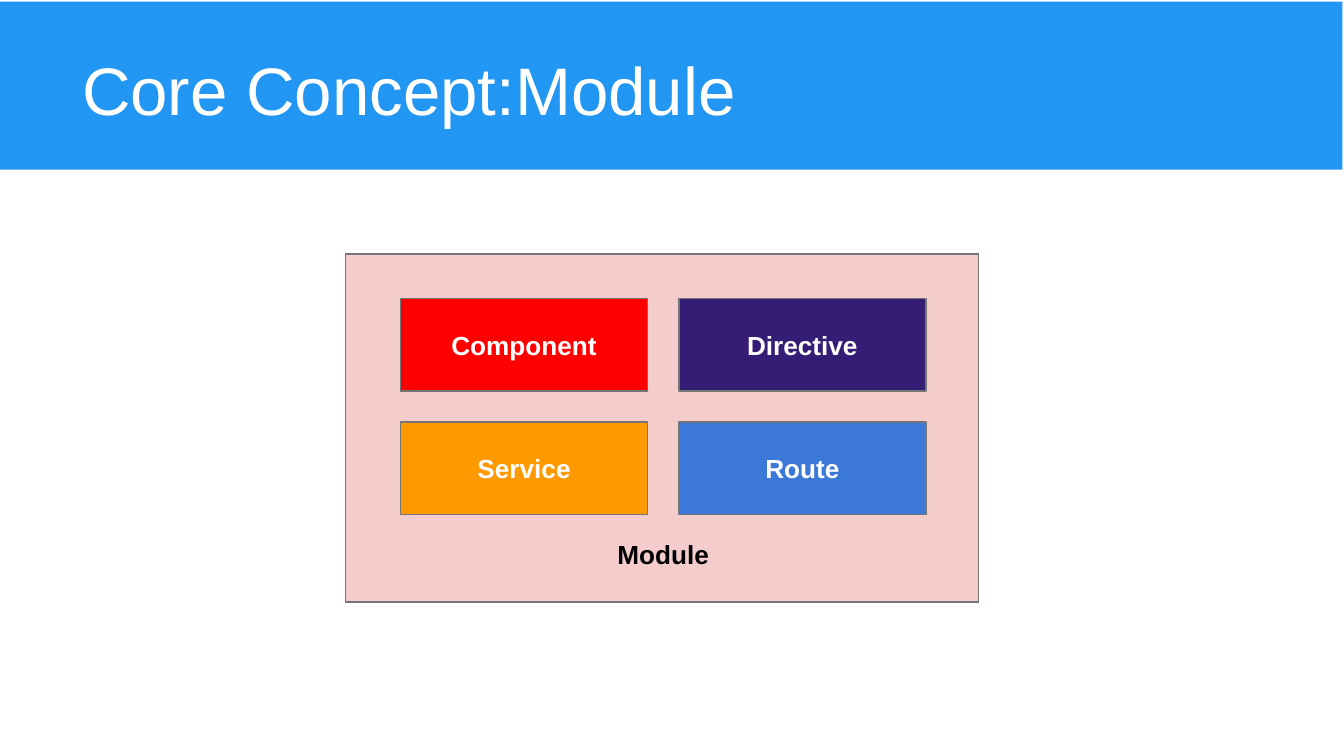
import pptx
import pptx.util
import pptx.dml.color
import pptx.enum.shapes
import pptx.enum.text

Cm = pptx.util.Cm
ALIGN = pptx.enum.text.PP_ALIGN
ANCHOR = pptx.enum.text.MSO_ANCHOR

TITLE = "Core Concept:Module"
MODULE = "Module"
PARTS = [
    [("Component", "red"), ("Directive", "purple")],
    [("Service", "orange"), ("Route", "blue")],
]
COLORS = {
    "band": "2196F3", "module": "F4CCCC", "border": "757575",
    "red": "FF0000", "purple": "351C75", "orange": "FF9900", "blue": "3C78D8",
    "white": "FFFFFF", "black": "000000",
}

# Lengths in cm
BAND = (-0.03, 0.03, 25.4, 3.18)
TITLE_BOX = (1.3, 0.28, 22.48, 2.41)
MODULE_BOX = (6.53, 4.8, 11.96, 6.58)
GRID_LEFT, GRID_TOP = 7.57, 5.64
PART_W, PART_H = 4.67, 1.75
GAP_X, GAP_Y = 0.59, 0.59
LABEL_BOX = (GRID_LEFT, 9.93, 2 * PART_W + GAP_X, 1.04)

LABEL_FONT = {"name": "Arial", "size": pptx.util.Pt(14), "bold": True}
TITLE_FONT = {"name": "Arial", "size": pptx.util.Pt(36), "bold": False}
FRAME = {"word_wrap": True, "auto_size": pptx.enum.text.MSO_AUTO_SIZE.NONE}
FRAME.update({f"margin_{side}": Cm(0.25) for side in ("left", "top", "right", "bottom")})


def rgb(name):
    return pptx.dml.color.RGBColor.from_string(COLORS[name])


def set_attrs(obj, values):
    for name, value in values.items():
        setattr(obj, name, value)


def write(sp, text, font, color, align, anchor):
    tf = sp.text_frame
    set_attrs(tf, {**FRAME, "vertical_anchor": anchor})
    p = tf.paragraphs[0]
    p.alignment = align
    r = p.add_run()
    r.text = text
    set_attrs(r.font, font)
    r.font.color.rgb = rgb(color)


def add_rect(s, box, fill, border=None):
    sp = s.shapes.add_shape(pptx.enum.shapes.MSO_SHAPE.RECTANGLE, *map(Cm, box))
    sp.shadow.inherit = False
    sp.fill.solid()
    sp.fill.fore_color.rgb = rgb(fill)
    if border:
        sp.line.color.rgb = rgb(border)
        sp.line.width = pptx.util.Pt(0.75)
    else:
        sp.line.fill.background()
    return sp


prs = pptx.Presentation()
prs.slide_width, prs.slide_height = Cm(25.4), Cm(14.29)
s = prs.slides.add_slide(prs.slide_layouts.get_by_name("Title Only"))

band = add_rect(s, BAND, "band")
title = s.shapes.title
title.element.addprevious(band.element)  # keeps the band behind the title
set_attrs(title, dict(zip(("left", "top", "width", "height"), map(Cm, TITLE_BOX))))
write(title, TITLE, TITLE_FONT, "white", ALIGN.LEFT, ANCHOR.BOTTOM)

add_rect(s, MODULE_BOX, "module", "border")
for row, parts in enumerate(PARTS):
    for col, (name, fill) in enumerate(parts):
        box = (GRID_LEFT + col * (PART_W + GAP_X),
               GRID_TOP + row * (PART_H + GAP_Y), PART_W, PART_H)
        sp = add_rect(s, box, fill, "border")
        write(sp, name, LABEL_FONT, "white", ALIGN.CENTER, ANCHOR.MIDDLE)

label = s.shapes.add_textbox(*map(Cm, LABEL_BOX))
write(label, MODULE, LABEL_FONT, "black", ALIGN.CENTER, ANCHOR.TOP)

prs.save("out.pptx")
